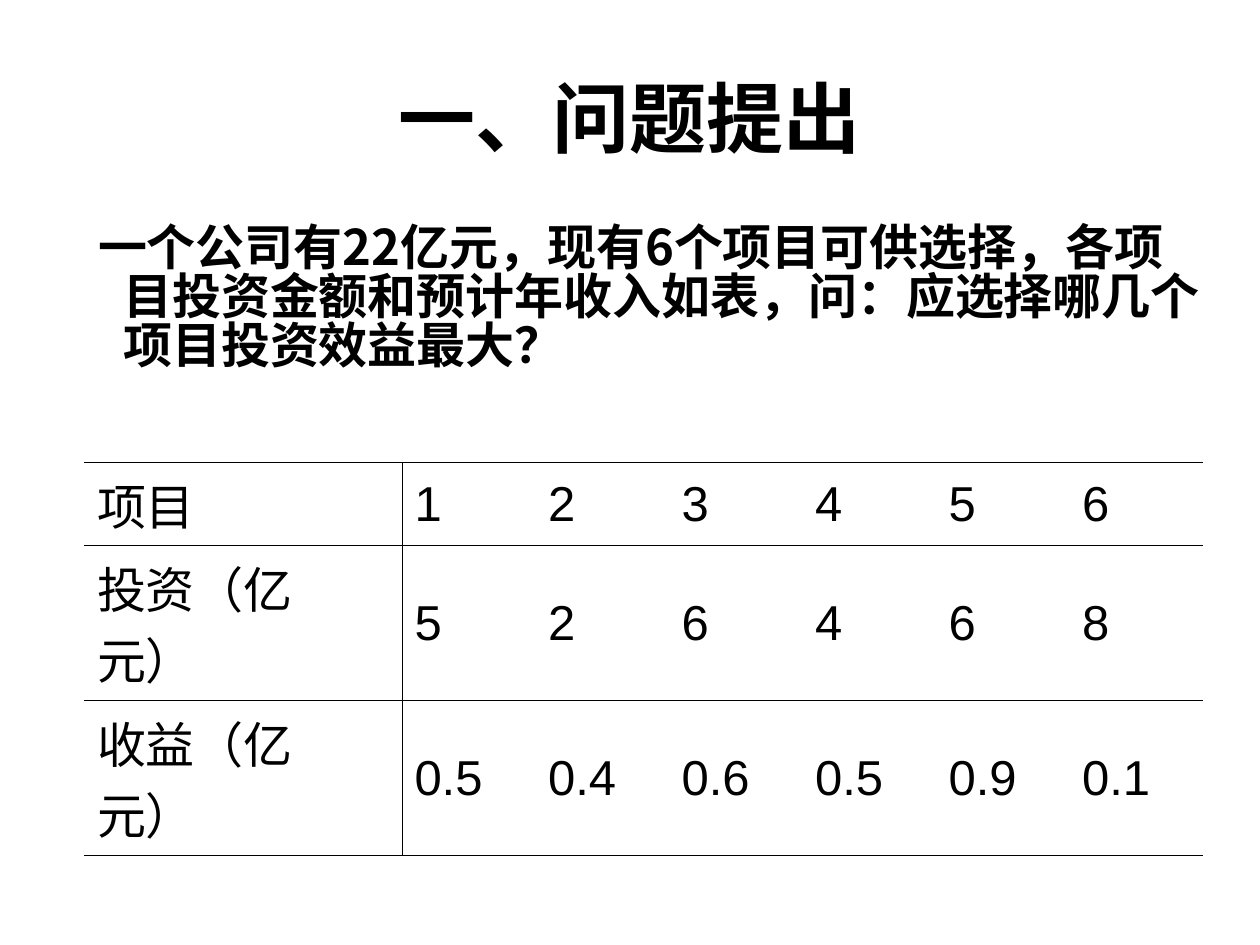
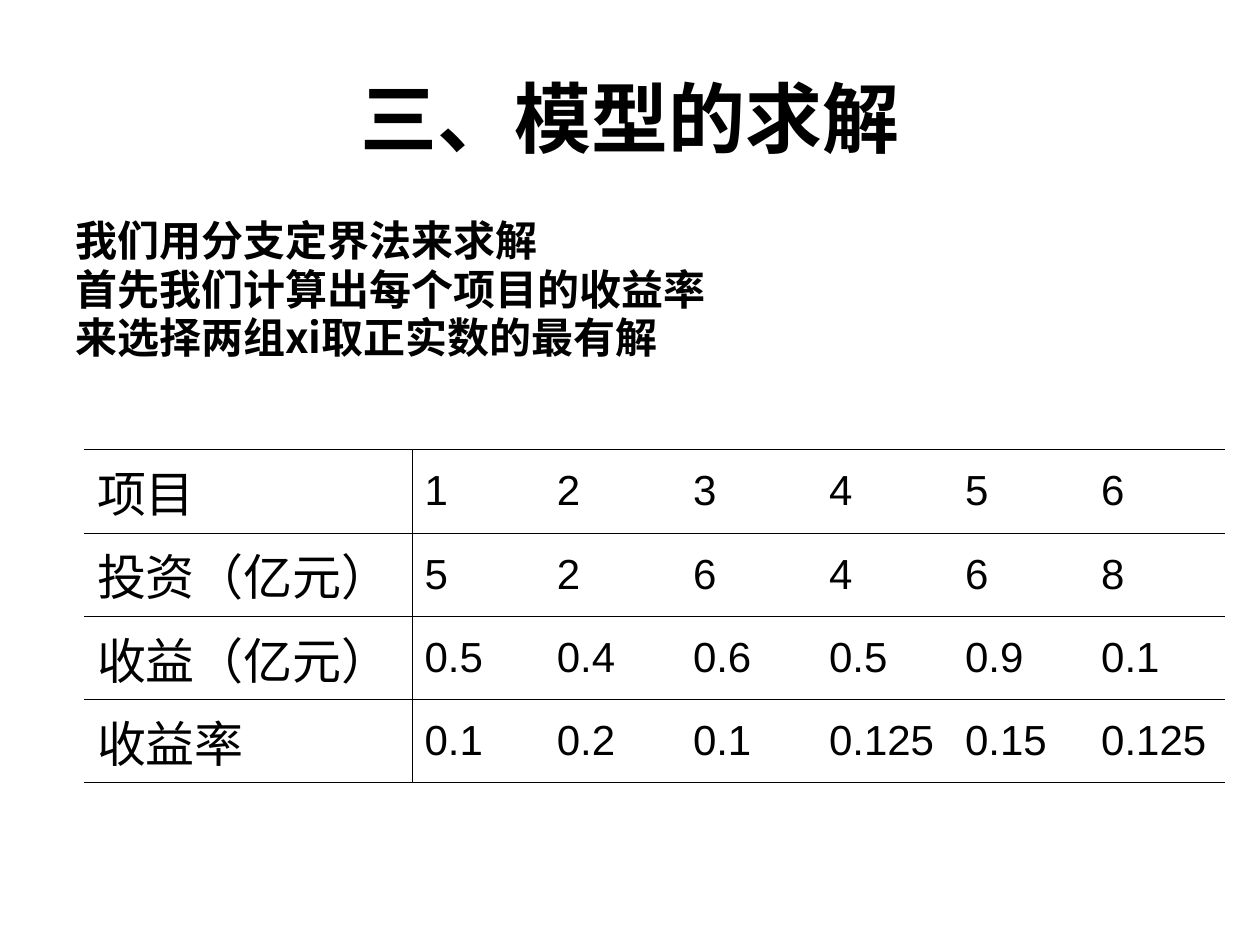
from lxml import etree
from pptx import Presentation
from pptx.dml.color import RGBColor
from pptx.enum.text import MSO_ANCHOR, PP_ALIGN
from pptx.oxml.ns import qn
from pptx.util import Inches, Pt

MIDDLE, TOP = MSO_ANCHOR.MIDDLE, MSO_ANCHOR.TOP
CENTER, LEFT = PP_ALIGN.CENTER, PP_ALIGN.LEFT
TITLE_ONLY = 5

# Shared style
INK = "000000"
CJK_FONT, TABLE_FONT = "Noto Sans CJK SC", "Arial"
TITLE_BOX = (0.5, 0.3, 9, 1.25)
LABEL_SIZE = 28
OUTER_LINE, INNER_LINE = 0.75, 0.45

PROJECTS = ["项目", "1", "2", "3", "4", "5", "6"]
INVESTMENT = ["投资（亿元）", "5", "2", "6", "4", "6", "8"]
INCOME = ["收益（亿元）", "0.5", "0.4", "0.6", "0.5", "0.9", "0.1"]
RETURN_RATE = ["收益率", "0.1", "0.2", "0.1", "0.125", "0.15", "0.125"]


def color(value):
    return RGBColor.from_string(value)


def format_para(para, size, font, bold, align=LEFT):
    para.alignment = align
    for span in para.runs:
        span.font.size = Pt(size)
        span.font.name = font
        span.font.bold = bold
        span.font.color.rgb = color(INK)
        east_asian = etree.SubElement(span.font._element, qn("a:ea"))
        east_asian.set("typeface", CJK_FONT)


def add_page(deck, title):
    page = deck.slides.add_slide(deck.slide_layouts[TITLE_ONLY])
    box = page.shapes.title
    box.left, box.top, box.width, box.height = map(Inches, TITLE_BOX)
    box.text_frame.text = title
    box.text_frame.vertical_anchor = MIDDLE
    format_para(box.text_frame.paragraphs[0], 44, CJK_FONT, True, CENTER)
    return page


def add_body(page, place, lines, size, spacing, first_indent):
    """Bold statement with a hanging indent."""
    frame = page.shapes.add_textbox(*map(Inches, place)).text_frame
    frame.word_wrap = True
    frame.text = "\n".join(lines)
    for index, para in enumerate(frame.paragraphs):
        properties = para._p.get_or_add_pPr()
        properties.set("marL", str(Inches(0.38)))
        properties.set("indent", str(Inches(first_indent)))
        para.line_spacing = spacing
        if index:
            para.space_before = Pt(6)
        format_para(para, size, CJK_FONT, True)


def set_borders(cell, widths):
    """Draw left, right, top and bottom lines; a width of 0 hides a line."""
    properties = cell._tc.get_or_add_tcPr()
    for index, (side, width) in enumerate(zip("LRTB", widths)):
        line = etree.Element(qn(f"a:ln{side}"), w=str(Pt(width)))
        if width:
            fill = etree.SubElement(line, qn("a:solidFill"))
            etree.SubElement(fill, qn("a:srgbClr"), val=INK)
        else:
            etree.SubElement(line, qn("a:noFill"))
        properties.insert(index, line)


def add_project_table(page, place, rows, column_widths, row_heights, value_size):
    left, top = place
    frame = page.shapes.add_table(
        len(rows), len(column_widths), Inches(left), Inches(top),
        Inches(sum(column_widths)), Inches(sum(row_heights)))
    table = frame.table
    table.first_row = table.horz_banding = False
    for column, width in zip(table.columns, column_widths):
        column.width = Inches(width)
    for r, (values, height) in enumerate(zip(rows, row_heights)):
        table.rows[r].height = Inches(height)
        for c, value in enumerate(values):
            cell = table.cell(r, c)
            cell.text_frame.text = value
            cell.fill.background()
            cell.vertical_anchor = MIDDLE if c else TOP
            size = value_size if c else LABEL_SIZE
            format_para(cell.text_frame.paragraphs[0], size, TABLE_FONT, False)
            set_borders(cell, (
                INNER_LINE if c == 1 else 0,
                INNER_LINE if c == 0 else 0,
                INNER_LINE if r else OUTER_LINE,
                INNER_LINE if r < len(rows) - 1 else OUTER_LINE))


def build_problem(deck):
    page = add_page(deck, "一、问题提出")
    add_body(page, (0.5, 1.75, 9.15, 2.08),
             ["一个公司有22亿元，现有6个项目可供选择，各项目投资金额和预计年收入如表，"
              "问：应选择哪几个项目投资效益最大？"], 28, 0.83, -0.2)
    add_project_table(page, (0.67, 3.67), [PROJECTS, INVESTMENT, INCOME],
                      [2.52] + [1.06] * 6, [0.66, 1.23, 1.23], 28)


def build_solution(deck):
    page = add_page(deck, "三、模型的求解")
    add_body(page, (0.5, 1.75, 8.52, 1.45),
             ["我们用分支定界法来求解", "首先我们计算出每个项目的收益率",
              "来选择两组xi取正实数的最有解"], 24, 0.75, -0.38)
    add_project_table(page, (0.67, 3.57),
                      [PROJECTS, INVESTMENT, INCOME, RETURN_RATE],
                      [2.6, 1.05] + [1.08] * 5, [0.66] * 4, 24)


def main():
    deck = Presentation()
    deck.slide_width, deck.slide_height = Inches(10), Inches(7.5)
    build_problem(deck)
    build_solution(deck)
    deck.save("out.pptx")


if __name__ == "__main__":
    main()
